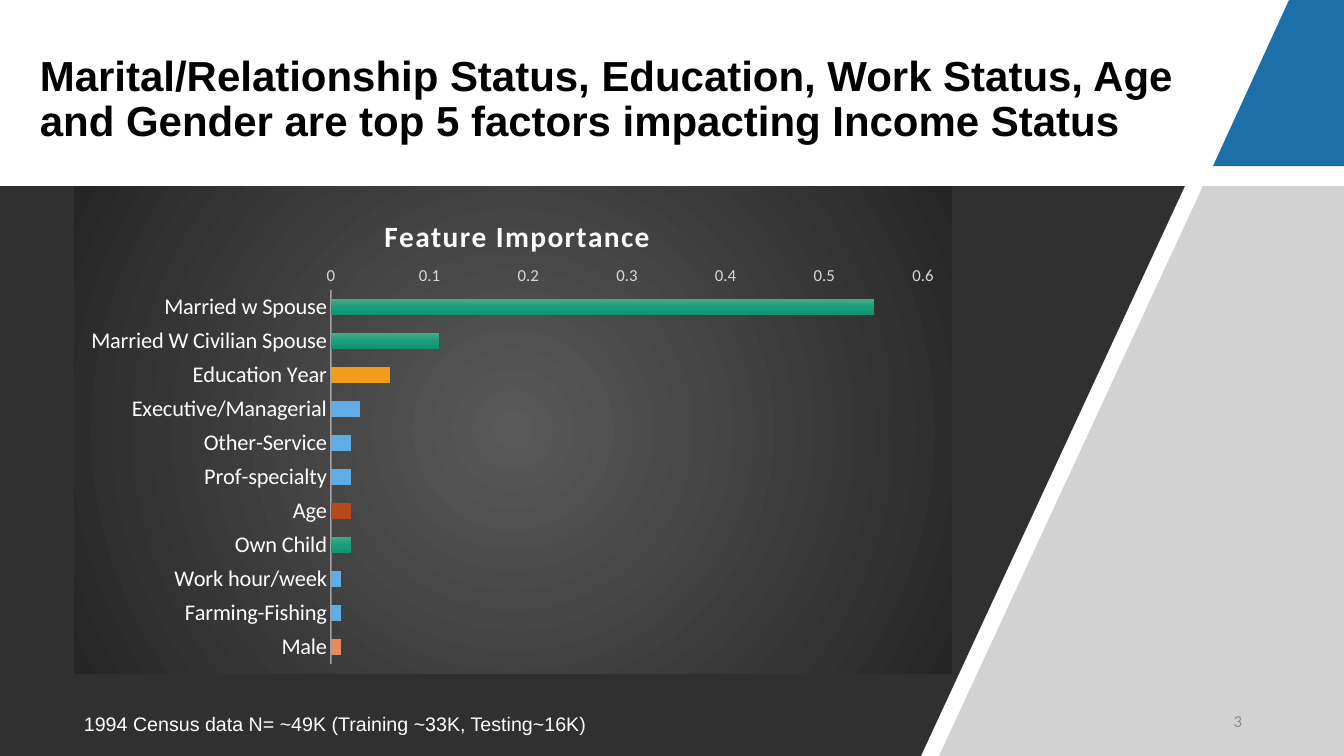
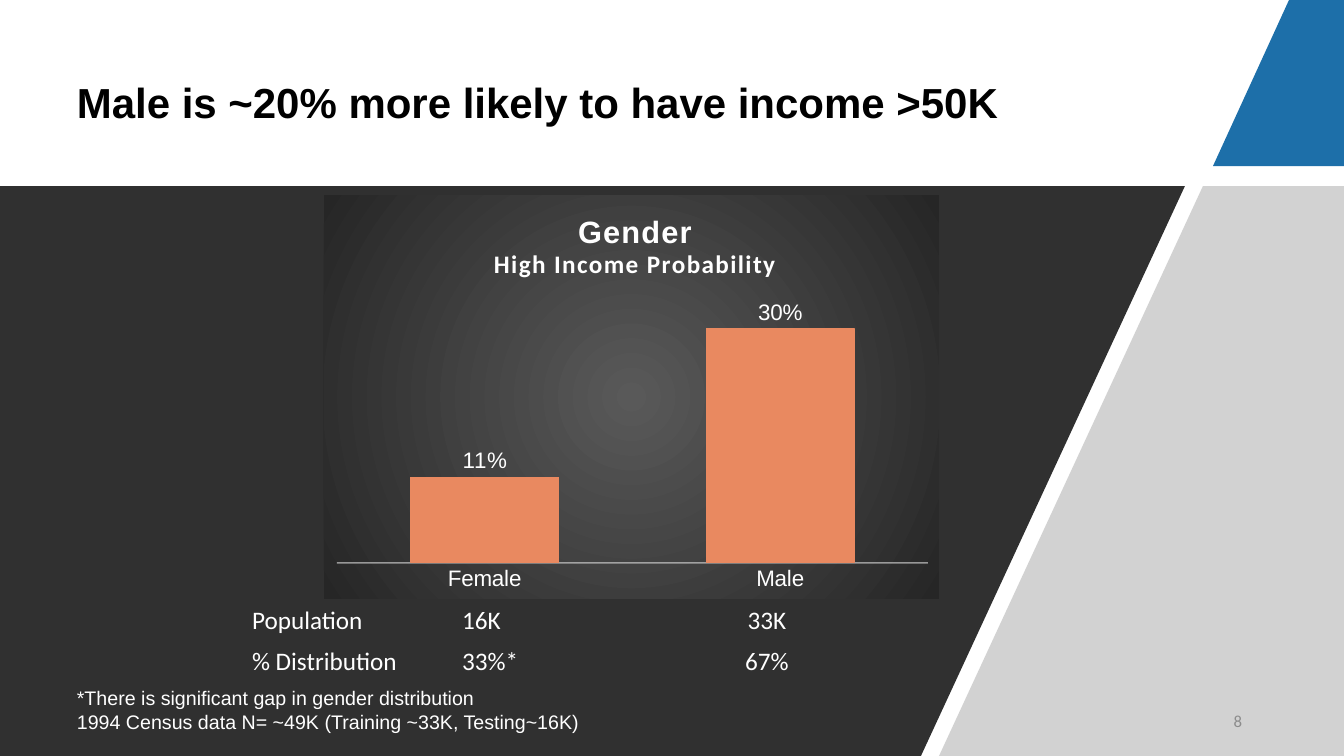
import dataclasses

import pptx
import pptx.chart.data
import pptx.dml.color
import pptx.enum.chart
import pptx.enum.text
import pptx.oxml
import pptx.oxml.ns
import pptx.util

qn = pptx.oxml.ns.qn
NS = pptx.oxml.ns.nsdecls("a", "c")
XL = pptx.enum.chart
ANCHOR = pptx.enum.text.MSO_ANCHOR
ALIGN = pptx.enum.text.PP_ALIGN
PX = 12192000 / 1344
WIDTH, HEIGHT = 1344, 756
BAND_TOP = 186
PLAIN_TABLE = "{2D5ABB26-0587-4C30-8999-92F81FD0307C}"
CENSUS = "1994 Census data N= ~49K (Training ~33K, Testing~16K)"


@dataclasses.dataclass(frozen=True)
class Theme:
    """Colours, fonts and type sizes shared by the slides."""
    black: str = "000000"
    white: str = "FFFFFF"
    dark: str = "303030"
    grey: str = "A6A6A6"
    blue: str = "1D6FA9"
    axis: str = "F2F2F2"
    tick: str = "D9D9D9"
    number: str = "8C8C8C"
    gold: str = "F19D19"
    sky: str = "5FADE4"
    rust: str = "B74919"
    coral: str = "E98960"
    panel: tuple = ((0, "595959"), (100, "262626"))
    green: tuple = ((0, "4EA788"), (50, "17A07B"), (100, "0F9470"))
    head: str = "Arial"
    body: str = "Calibri"
    title_size: int = 30
    chart_title_size: int = 22
    feature_title_size: int = 21
    table_size: int = 18
    label_size: int = 16
    note_size: int = 14
    small_size: int = 12
    chart_size: int = 10


T = Theme()


def rgb(color):
    """Turn a hex string into a colour."""
    return pptx.dml.color.RGBColor.from_string(color)


def emu(*lengths):
    """Turn px lengths into EMU."""
    return [pptx.util.Emu(round(n * PX)) for n in lengths]


def put(obj, **formats):
    """Set each format value on an object."""
    for name, value in formats.items():
        setattr(obj, name, value)


def set_font(font, name, size, color, bold=False):
    """Set the face, size, colour and weight of a font."""
    put(font, name=name, size=pptx.util.Pt(size), bold=bold)
    font.color.rgb = rgb(color)


def set_alpha(element, percent):
    """Make the colours inside an element partly transparent."""
    for color in element.iter(qn("a:srgbClr")):
        color.append(pptx.oxml.parse_xml(f'<a:alpha {NS} val="{percent * 1000}"/>'))


def gradient(stops, direction):
    """Build a gradient fill from percent stops and a direction tag."""
    marks = "".join(f'<a:gs pos="{pos * 1000}"><a:srgbClr val="{color}"/></a:gs>'
                    for pos, color in stops)
    return pptx.oxml.parse_xml(
        f'<a:gradFill {NS} rotWithShape="1"><a:gsLst>{marks}</a:gsLst>{direction}</a:gradFill>')


def set_layout(parent, index, inner=False, **fractions):
    """Place a chart part by fractions of the chart area."""
    for old in parent.findall(qn("c:layout")):
        parent.remove(old)
    target = '<c:layoutTarget val="inner"/>' if inner else ""
    modes = '<c:xMode val="edge"/><c:yMode val="edge"/>'
    values = "".join(f'<c:{key} val="{value:.4f}"/>' for key, value in fractions.items())
    parent.insert(index, pptx.oxml.parse_xml(
        f"<c:layout {NS}><c:manualLayout>{target}{modes}{values}</c:manualLayout></c:layout>"))


def add_text(s, box, lines, font, anchor=ANCHOR.TOP, align=ALIGN.LEFT, spacing=None):
    """Add a text box with one paragraph per line."""
    tf = s.shapes.add_textbox(*emu(*box)).text_frame
    put(tf, word_wrap=True, vertical_anchor=anchor)
    for i, line in enumerate(lines):
        p = tf.add_paragraph() if i else tf.paragraphs[0]
        put(p, alignment=align, line_spacing=spacing)
        r = p.add_run()
        r.text = line
        set_font(r.font, *font)


def add_panel(s, points, color, alpha=None):
    """Add a filled outline through the given points."""
    builder = s.shapes.build_freeform(*points[0], scale=PX)
    builder.add_line_segments(points[1:], close=True)
    sp = builder.convert_to_shape()
    sp.shadow.inherit = False
    sp.fill.solid()
    sp.fill.fore_color.rgb = rgb(color)
    if alpha:
        set_alpha(sp.element, alpha)
    sp.line.fill.background()


def add_slide(prs, title, title_box, number):
    """Add a slide with the shared panels, title and number."""
    s = prs.slides.add_slide(prs.slide_layouts[6])
    add_panel(s, [(1289, 0), (WIDTH, 0), (WIDTH, 166), (1213, 166)], T.blue)
    add_panel(s, [(1203, BAND_TOP), (WIDTH, BAND_TOP), (WIDTH, HEIGHT), (939, HEIGHT)],
              T.grey, 50)
    add_panel(s, [(0, BAND_TOP), (1185, BAND_TOP), (921, HEIGHT), (0, HEIGHT)], T.dark)
    add_text(s, title_box, [title], (T.head, T.title_size, T.black, True),
             ANCHOR.MIDDLE, spacing=0.9)
    add_text(s, (950, 701, 302, 40), [number], (T.body, T.small_size, T.number),
             ANCHOR.MIDDLE, ALIGN.RIGHT)
    return s


def add_chart_title(chart, lines, x, y):
    """Write the chart title and place its corner."""
    title = chart.chart_title
    tf = title.text_frame
    for i, (text, name, size) in enumerate(lines):
        p = tf.add_paragraph() if i else tf.paragraphs[0]
        r = p.add_run()
        r.text = text
        set_font(r.font, name, size, T.white, True)
    for props in title.element.iter(qn("a:rPr")):
        props.set("spc", "100")
    set_layout(title.element, 1, x=x, y=y)


def add_bars(s, kind, box, plot_box, data, titles, title_at, axis_font, gap, overlap):
    """Add a one-series bar chart on the shaded panel."""
    left, top, width, height = box
    cd = pptx.chart.data.CategoryChartData()
    cd.categories = list(data)
    cd.add_series("Series 1", list(data.values()))
    chart = s.shapes.add_chart(kind, *emu(*box), cd).chart
    put(chart, has_legend=False, has_title=True)
    set_font(chart.font, T.body, T.chart_size, T.black)
    add_chart_title(chart, titles, (title_at[0] - left) / width, (title_at[1] - top) / height)
    put(chart.plots[0], gap_width=gap, overlap=overlap, vary_by_categories=False)
    chart.plots[0].series[0].invert_if_negative = False

    cat, val = chart.category_axis, chart.value_axis
    for axis in (cat, val):
        put(axis, major_tick_mark=XL.XL_TICK_MARK.NONE, minor_tick_mark=XL.XL_TICK_MARK.NONE,
            has_major_gridlines=False)
    cat.reverse_order = True
    set_font(cat.tick_labels.font, axis_font, T.label_size, T.white)
    cat.format.line.width = pptx.util.Pt(1)
    cat.format.line.color.rgb = rgb(T.axis)
    set_alpha(chart.element.find(f".//{qn('c:catAx')}/{qn('c:spPr')}"), 54)
    val.format.line.fill.background()

    x, y, w, h = plot_box
    set_layout(chart.element.find(f".//{qn('c:plotArea')}"), 0, True,
               x=(x - left) / width, y=(y - top) / height, w=w / width, h=h / height)
    panel = pptx.oxml.parse_xml(f"<c:spPr {NS}><a:ln><a:noFill/></a:ln></c:spPr>")
    middle = '<a:fillToRect l="50000" t="50000" r="50000" b="50000"/>'
    panel.insert(0, gradient(T.panel, f'<a:path path="circle">{middle}</a:path>'))
    chart.element.find(qn("c:chart")).addnext(panel)
    return chart


def add_feature_chart(s):
    """Add the feature importance chart."""
    data = {
        "Married w Spouse": 0.55, "Married W Civilian Spouse": 0.11, "Education Year": 0.06,
        "Executive/Managerial": 0.03, "Other-Service": 0.02, "Prof-specialty": 0.02,
        "Age": 0.02, "Own Child": 0.02, "Work hour/week": 0.01, "Farming-Fishing": 0.01,
        "Male": 0.01,
    }
    colors = {
        "Education Year": T.gold, "Executive/Managerial": T.sky, "Other-Service": T.sky,
        "Prof-specialty": T.sky, "Age": T.rust, "Work hour/week": T.sky,
        "Farming-Fishing": T.sky, "Male": T.coral,
    }
    chart = add_bars(s, XL.XL_CHART_TYPE.BAR_CLUSTERED, (74, BAND_TOP, 878, 488),
                     (331, 290, 592, 374), data,
                     [("Feature Importance", T.body, T.feature_title_size)],
                     (379, 210), T.body, 115, -20)
    put(chart.value_axis, minimum_scale=0, maximum_scale=0.6, major_unit=0.1)
    set_font(chart.value_axis.tick_labels.font, T.body, T.small_size, T.tick)
    series = chart.plots[0].series[0]
    series.format.fill.solid()
    fill = chart.element.find(f".//{qn('c:ser')}/{qn('c:spPr')}/{qn('a:solidFill')}")
    fill.getparent().replace(fill, gradient(T.green, '<a:lin ang="5400000" scaled="0"/>'))
    for i, name in enumerate(data):
        if name in colors:
            fill = series.points[i].format.fill
            fill.solid()
            fill.fore_color.rgb = rgb(colors[name])


def add_gender_chart(s):
    """Add the chart of high income probability by gender."""
    chart = add_bars(s, XL.XL_CHART_TYPE.COLUMN_CLUSTERED, (324, 195, 615, 404),
                     (337, 290, 591, 273), {"Male": 0.3, "Female": 0.11},
                     [("Gender", T.head, T.chart_title_size),
                      ("High Income Probability", T.body, T.table_size)],
                     (491, 211), T.head, 100, -24)
    put(chart.value_axis, minimum_scale=0, maximum_scale=0.35, visible=False)
    series = chart.plots[0].series[0]
    series.format.fill.solid()
    series.format.fill.fore_color.rgb = rgb(T.coral)
    series.format.line.width = pptx.util.Pt(0.75)
    series.format.line.color.rgb = rgb(T.coral)
    labels = series.data_labels
    put(labels, show_value=True, number_format="0%", number_format_is_linked=False,
        position=XL.XL_LABEL_POSITION.OUTSIDE_END)
    set_font(labels.font, T.head, T.label_size, T.white)


def add_table(s, box, rows, aligns):
    """Add a plain table without fills or borders."""
    frame = s.shapes.add_table(len(rows), len(aligns), *emu(*box))
    put(frame.table, first_row=False, horz_banding=False)
    for style in frame.element.iter(qn("a:tableStyleId")):
        style.text = PLAIN_TABLE
    for i, row in enumerate(rows):
        for j, (text, align) in enumerate(zip(row, aligns)):
            cell = frame.table.cell(i, j)
            cell.fill.background()
            p = cell.text_frame.paragraphs[0]
            p.alignment = align
            r = p.add_run()
            r.text = text
            set_font(r.font, T.body, T.table_size, T.white)


def main():
    """Build both slides and save the file."""
    prs = pptx.Presentation()
    prs.slide_width, prs.slide_height = emu(WIDTH, HEIGHT)
    note = (T.head, T.note_size, T.white)

    s = add_slide(prs, "Marital/Relationship Status, Education, Work Status, Age and Gender "
                  "are top 5 factors impacting Income Status", (30, 35, 1210, 131), "3")
    add_feature_chart(s)
    add_text(s, (74, 707, 588, 34), [CENSUS], note)

    s = add_slide(prs, "Male is ~20% more likely to have income >50K",
                  (67, 39, 1166, 131), "8")
    add_gender_chart(s)
    add_table(s, (242, 600, 630, 82),
              [("Population", "16K", "33K"), ("% Distribution", "33%*", "67%")],
              (ALIGN.LEFT, ALIGN.LEFT, ALIGN.CENTER))
    add_text(s, (67, 681, 656, 58),
             ["*There is significant gap in gender distribution", CENSUS], note)

    prs.save("out.pptx")


if __name__ == "__main__":
    main()
